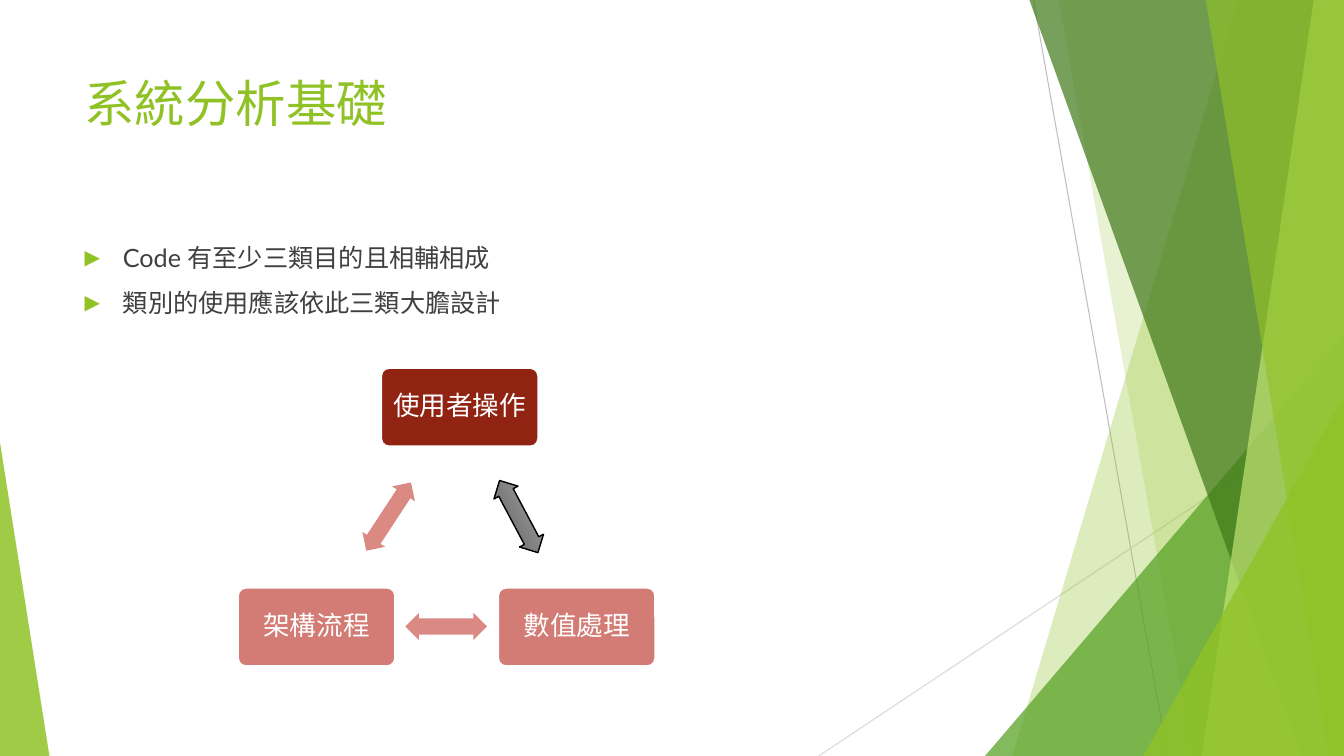
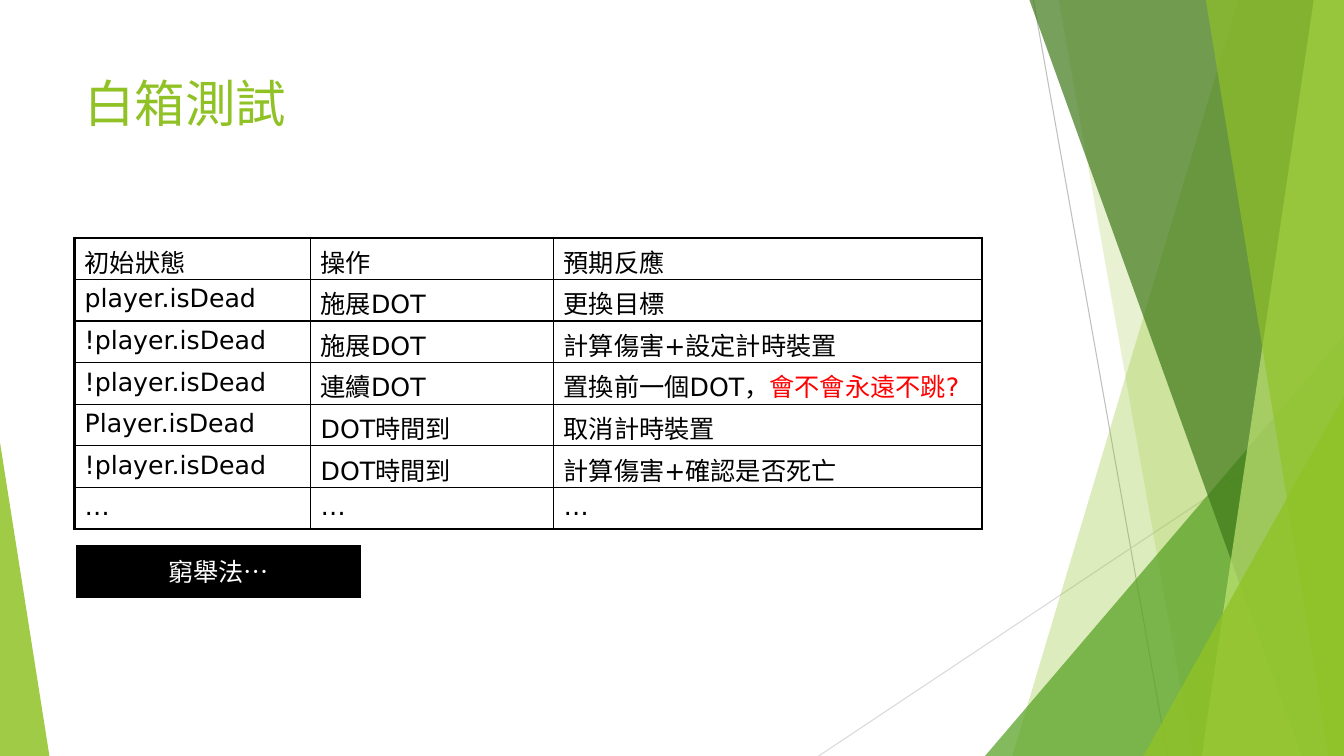
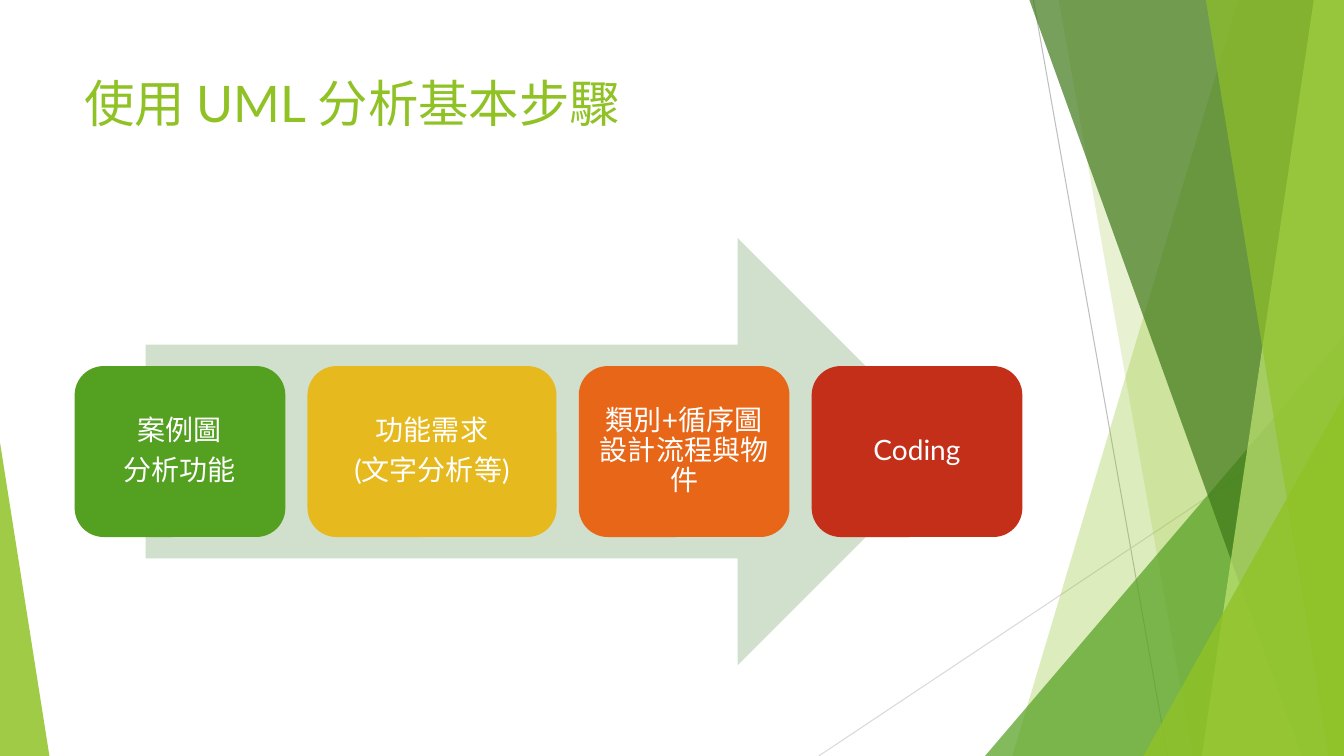
"""Build three slides on system analysis, testing and UML."""
from dataclasses import dataclass
from typing import NamedTuple

from lxml import etree
from pptx import Presentation
from pptx import util as u
from pptx.dml.color import RGBColor
from pptx.enum import shapes, text
from pptx.oxml import ns

SHAPE = shapes.MSO_SHAPE
WIDTH, HEIGHT = 13.33, 7.5


@dataclass(frozen=True)
class Theme:
    """Colours, fonts and type sizes of the deck."""

    font: str = "Lato"
    table_font: str = "DejaVu Sans"
    title_size: int = 36
    body_size: int = 18
    node_size: int = 19
    step_size: int = 20
    lime: str = "90C226"
    pale_lime: str = "C0E474"
    green: str = "54A021"
    forest: str = "3F7819"
    grey: str = "404040"
    rule_dark: str = "BFBFBF"
    rule_light: str = "D9D9D9"
    white: str = "FFFFFF"
    black: str = "000000"
    red: str = "FF0000"
    crimson: str = "912313"
    rose: str = "D37B75"
    rose_arrow: str = "DA8983"
    steel_light: str = "B2B2B2"
    steel_dark: str = "5E5E5E"
    sage: str = "D1DFCD"
    gold: str = "E6B91E"
    orange: str = "E76618"
    brick: str = "C42F1A"


THEME = Theme()


class Box(NamedTuple):
    """A rectangle in inches."""

    left: float
    top: float
    width: float
    height: float

    def inside(self, left, top, width, height):
        """Return a box placed relative to this one."""
        return Box(self.left + left, self.top + top, width, height)

    def lengths(self):
        """Return the four sides as lengths."""
        return [u.Inches(side) for side in self]


TITLE = Box(0.74, 0.67, 9.4, 1.44)
CONTENT = Box(0.74, 2.36, 9.4, 4.24)


def rgb(code):
    """Turn a hex code into a colour."""
    return RGBColor.from_string(code)


def add_child(parent, tag, **attributes):
    """Append a drawing element with the given attributes."""
    return etree.SubElement(parent, ns.qn(tag), attributes)


def style_font(font, size, color, name=THEME.font):
    """Set the face, size and colour of a font."""
    font.name = name
    font.size = u.Pt(size)
    font.color.rgb = rgb(color)


def paint(shape, fill, line=None, line_width=1, opacity=100):
    """Give a shape a flat fill, an optional line and no shadow."""
    shape.shadow.inherit = False
    shape.fill.solid()
    shape.fill.fore_color.rgb = rgb(fill)
    if opacity < 100:
        color = shape.element.find(".//" + ns.qn("a:srgbClr"))
        add_child(color, "a:alpha", val=str(opacity * 1000))
    if line:
        shape.line.color.rgb = rgb(line)
        shape.line.width = u.Pt(line_width)
    else:
        shape.line.fill.background()


def add_preset(slide, kind, box, adjustments=()):
    """Add a preset shape with its adjustments."""
    shape = slide.shapes.add_shape(kind, *box.lengths())
    for index, value in enumerate(adjustments):
        shape.adjustments[index] = value
    return shape


def add_rule(slide, start, end, color):
    """Add a thin straight line without shadow."""
    points = [u.Inches(value) for value in (*start, *end)]
    rule = slide.shapes.add_connector(shapes.MSO_CONNECTOR.STRAIGHT, *points)
    rule.line.color.rgb = rgb(color)
    rule.line.width = u.Pt(0.75)
    add_child(rule.element.spPr, "a:effectLst")


def add_band(slide, top_edge, bottom_edge, color, opacity):
    """Add a slanted band reaching from its left edge to the slide's right."""
    corners = [(top_edge, 0), (WIDTH, 0), (WIDTH, HEIGHT), (bottom_edge, HEIGHT)]
    points = [(u.Inches(x), u.Inches(y)) for x, y in corners]
    builder = slide.shapes.build_freeform(*points[0])
    builder.add_line_segments(points[1:], close=True)
    paint(builder.convert_to_shape(), color, opacity=opacity)


def add_wedge(slide, left, top, width, apex, color, opacity):
    """Add a triangle standing on the bottom of the slide."""
    box = Box(left, top, width, HEIGHT - top)
    wedge = add_preset(slide, SHAPE.ISOSCELES_TRIANGLE, box, [apex])
    paint(wedge, color, opacity=opacity)


def add_backdrop(slide):
    """Draw the shared rules, bands and wedges."""
    add_rule(slide, (10.25, 0), (11.58, HEIGHT), THEME.rule_dark)
    add_rule(slide, (WIDTH, 4.03), (8.12, HEIGHT), THEME.rule_light)
    add_band(slide, 12.28, 10.04, THEME.lime, 30)
    add_band(slide, 10.5, 11.83, THEME.lime, 20)
    add_wedge(slide, 9.77, 3.33, 3.56, 1, THEME.green, 72)
    add_band(slide, 10.21, 12.91, THEME.forest, 70)
    add_band(slide, 13.03, 11.92, THEME.pale_lime, 70)
    add_band(slide, 11.96, 13.18, THEME.lime, 65)
    add_wedge(slide, 11.34, 3.93, 1.99, 1, THEME.lime, 80)
    add_wedge(slide, 0, 4.39, 0.49, 0, THEME.lime, 85)


def add_text(slide, box, lines, size, color):
    """Add a wrapping text box with one paragraph for each line."""
    frame = slide.shapes.add_textbox(*box.lengths()).text_frame
    frame.word_wrap = True
    frame.text = "\n".join(lines)
    for para in frame.paragraphs:
        for span in para.runs:
            style_font(span.font, size, color)
    return frame


def start_slide(deck, title):
    """Add a slide with the shared backdrop and a title."""
    slide = deck.slides.add_slide(deck.slide_layouts[6])
    add_backdrop(slide)
    add_text(slide, TITLE, [title], THEME.title_size, THEME.lime)
    return slide


def add_bullets(slide, box, lines):
    """Add a list with triangular bullets."""
    frame = add_text(slide, box, lines, THEME.body_size, THEME.grey)
    for index, para in enumerate(frame.paragraphs):
        properties = para._p.get_or_add_pPr()
        properties.set("marL", str(u.Inches(0.38)))
        properties.set("indent", str(-u.Inches(0.38)))
        color = add_child(properties, "a:buClr")
        add_child(color, "a:srgbClr", val=THEME.lime)
        add_child(properties, "a:buSzPct", val="80000")
        add_child(properties, "a:buFont", typeface=THEME.table_font)
        add_child(properties, "a:buChar", char="▶")
        if index:
            para.space_before = u.Pt(10)


def write_label(shape, label, size, name=THEME.font):
    """Write centred white text into a shape."""
    frame = shape.text_frame
    frame.word_wrap = True
    frame.vertical_anchor = text.MSO_ANCHOR.MIDDLE
    frame.text = label
    for para in frame.paragraphs:
        para.alignment = text.PP_ALIGN.CENTER
        for span in para.runs:
            style_font(span.font, size, THEME.white, name)


def add_card(slide, box, label, size, fill, line=None, radius=0.17):
    """Add a rounded card with tight, centred lines of text."""
    card = add_preset(slide, SHAPE.ROUNDED_RECTANGLE, box, [radius])
    paint(card, fill, line, 1.5)
    write_label(card, label, size)
    frame = card.text_frame
    frame.margin_left = frame.margin_right = u.Inches(0.08)
    frame.margin_top = frame.margin_bottom = u.Inches(0.08)
    for para in frame.paragraphs:
        para.line_spacing = 0.9
        para.space_after = u.Pt(size * 0.35)


def add_cycle(slide, box):
    """Draw three cards joined by double arrows in a triangle."""
    nodes = [
        (1.42, 0, "使用者操作", THEME.crimson),
        (2.58, 2.18, "數值處理", THEME.rose),
        (0, 2.18, "架構流程", THEME.rose),
    ]
    for left, top, label, fill in nodes:
        place = box.inside(left, top, 1.56, 0.78)
        add_card(slide, place, label, THEME.node_size, fill, THEME.white, 0.1)
    arrows = []
    for left, top, turn in [(2.38, 1.34, 62), (1.66, 2.43, 180), (1.09, 1.34, 303.2)]:
        place = box.inside(left, top, 0.81, 0.27)
        arrow = add_preset(slide, SHAPE.LEFT_RIGHT_ARROW, place, [0.6, 0.5])
        arrow.rotation = turn
        paint(arrow, THEME.rose_arrow)
        arrows.append(arrow)
    shade_arrow(arrows[0])


def shade_arrow(arrow):
    """Give an arrow a grey gradient and a black outline."""
    arrow.fill.gradient()
    arrow.fill.gradient_angle = 270
    stops = [(0, THEME.steel_light), (0.88, THEME.steel_dark)]
    for stop, (position, color) in zip(arrow.fill.gradient_stops, stops):
        stop.position = position
        stop.color.rgb = rgb(color)
    arrow.line.color.rgb = rgb(THEME.black)
    arrow.line.width = u.Pt(1)


def set_borders(cell, widths):
    """Draw black cell borders, given as side letters with point widths."""
    cell.fill.background()
    properties = cell._tc.get_or_add_tcPr()
    for index, (side, width) in enumerate(widths.items()):
        line = etree.Element(ns.qn("a:ln" + side), w=str(u.Pt(width)))
        fill = add_child(line, "a:solidFill")
        add_child(fill, "a:srgbClr", val=THEME.black)
        properties.insert(index, line)


def write_cell(cell, parts):
    """Write a plain part and, if given, a red part."""
    para = cell.text_frame.paragraphs[0]
    for part, color in zip(parts, (THEME.black, THEME.red)):
        span = para.add_run()
        span.text = part
        style_font(span.font, THEME.body_size, color, THEME.table_font)


def add_grid(slide, box, rows, widths):
    """Add a table with a thick frame and thin inner lines."""
    table = slide.shapes.add_table(len(rows), len(widths), *box.lengths()).table
    table.first_row = table.horz_banding = False
    for column, width in zip(table.columns, widths):
        column.width = u.Inches(width)
    last_row, last_column = len(rows) - 1, len(widths) - 1
    for r, row in enumerate(rows):
        table.rows[r].height = u.Inches(box.height / len(rows))
        for c, entry in enumerate(row):
            cell = table.cell(r, c)
            write_cell(cell, entry.split("|"))
            edges = {"L": c == 0, "R": c == last_column, "T": r == 0, "B": r == last_row}
            set_borders(cell, {side: 2.25 if outer else 1 for side, outer in edges.items()})


def add_caption(slide, box, label):
    """Add a black caption bar."""
    bar = add_preset(slide, SHAPE.RECTANGLE, box)
    paint(bar, THEME.black, THEME.white, 2)
    write_label(bar, label, THEME.body_size, THEME.table_font)


def add_process(slide, box, steps):
    """Draw a wide arrow with a row of step cards over it."""
    place = box.inside(box.width * 0.075, 0, box.width * 0.85, box.height)
    paint(add_preset(slide, SHAPE.RIGHT_ARROW, place), THEME.sage)
    height, gap, left = box.height * 0.4, 0.22, 0
    for label, width, fill in steps:
        place = box.inside(left, (box.height - height) / 2, width, height)
        add_card(slide, place, label, THEME.step_size, fill)
        left += width + gap


def build_basics(deck):
    """Build the slide on the basics of system analysis."""
    slide = start_slide(deck, "系統分析基礎")
    lines = ["Code 有至少三類目的且相輔相成", "類別的使用應該依此三類大膽設計"]
    add_bullets(slide, CONTENT, lines)
    add_cycle(slide, CONTENT.inside(1.62, 1.29, 4.14, 2.96))


def build_testing(deck):
    """Build the slide on white-box testing."""
    slide = start_slide(deck, "白箱測試")
    rows = [
        ("初始狀態", "操作", "預期反應"),
        ("player.isDead", "施展DOT", "更換目標"),
        ("!player.isDead", "施展DOT", "計算傷害+設定計時裝置"),
        ("!player.isDead", "連續DOT", "置換前一個DOT，|會不會永遠不跳?"),
        ("Player.isDead", "DOT時間到", "取消計時裝置"),
        ("!player.isDead", "DOT時間到", "計算傷害+確認是否死亡"),
        ("…", "…", "…"),
    ]
    add_grid(slide, CONTENT.inside(0, 0, 9, 2.89), rows, [2.34, 2.41, 4.25])
    add_caption(slide, CONTENT.inside(0, 3.03, 2.86, 0.56), "窮舉法…")


def build_steps(deck):
    """Build the slide on the steps of a UML analysis."""
    slide = start_slide(deck, "使用 UML 分析基本步驟")
    steps = [
        ("案例圖\n分析功能", 2.09, THEME.green),
        ("功能需求\n(文字分析等)", 2.47, THEME.gold),
        ("類別+循序圖 設計流程與物件", 2.09, THEME.orange),
        ("Coding", 2.09, THEME.brick),
    ]
    add_process(slide, CONTENT, steps)


def main():
    """Build and save the deck."""
    deck = Presentation()
    deck.slide_width = u.Inches(WIDTH)
    deck.slide_height = u.Inches(HEIGHT)
    for build in (build_basics, build_testing, build_steps):
        build(deck)
    deck.save("out.pptx")


if __name__ == "__main__":
    main()
